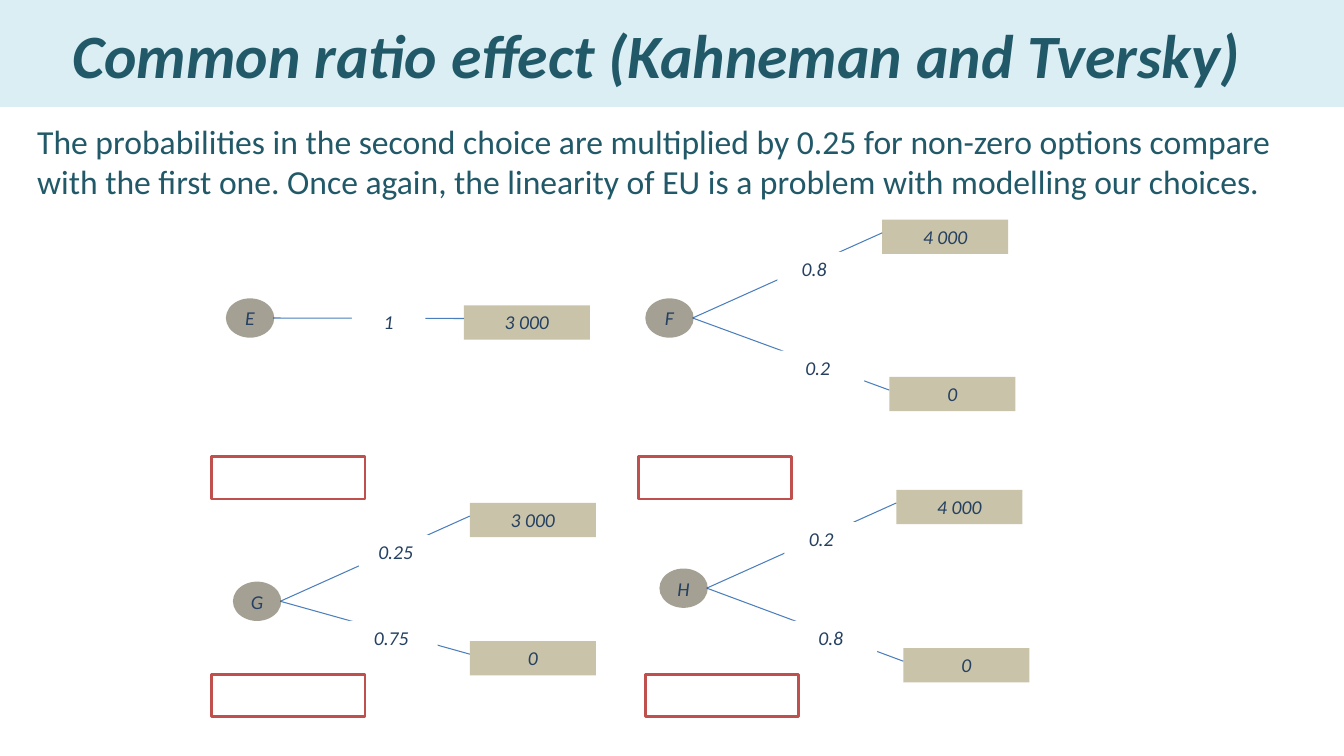
from dataclasses import dataclass

import pptx
import pptx.dml.color
import pptx.enum.shapes
import pptx.enum.text
import pptx.oxml.ns
import pptx.oxml.xmlchemy
import pptx.util
from pptx.util import Inches

RGBColor = pptx.dml.color.RGBColor
WHITE = RGBColor(0xFF, 0xFF, 0xFF)
BAND = RGBColor(0xDB, 0xEE, 0xF4)
TEAL = RGBColor(0x21, 0x59, 0x68)
NAVY = RGBColor(0x25, 0x40, 0x61)
NODE_FILL = RGBColor(0x4A, 0x45, 0x2A)
PAYOFF_FILL = RGBColor(0x94, 0x8A, 0x54)
BRANCH_BLUE = RGBColor(0x4B, 0x7E, 0xBC)
FRAME_RED = RGBColor(0xC0, 0x50, 0x4D)

SHAPE = pptx.enum.shapes.MSO_SHAPE
ANCHOR = pptx.enum.text.MSO_ANCHOR
ALIGN = pptx.enum.text.PP_ALIGN

FONT = "Calibri"
NODE_WIDTH, NODE_HEIGHT = 0.48, 0.39
PAYOFF_WIDTH, LABEL_HEIGHT = 1.25, 0.34
FRAME_WIDTH, FRAME_HEIGHT = 1.52, 0.42
UPPER_WIDTH, LOWER_WIDTH = 0.73, 0.92  # probability labels


@dataclass
class Branch:
    probability: str
    label_left: float
    label_top: float
    label_width: float
    payoff: str
    payoff_left: float
    payoff_top: float


@dataclass
class Lottery:
    name: str
    left: float
    top: float
    branches: list[Branch]


LOTTERIES = [
    Lottery("E", 2.24, 2.96, [
        Branch("1", 3.49, 3.03, UPPER_WIDTH, "3 000", 4.6, 3.03)]),
    Lottery("F", 6.4, 2.96, [
        Branch("0.8", 7.71, 2.5, UPPER_WIDTH, "4 000", 8.75, 2.18),
        Branch("0.2", 7.65, 3.48, LOWER_WIDTH, "0", 8.82, 3.74)]),
    Lottery("G", 2.31, 5.77, [
        Branch("0.25", 3.56, 5.31, UPPER_WIDTH, "3 000", 4.66, 4.99),
        Branch("0.75", 3.42, 6.16, LOWER_WIDTH, "0", 4.66, 6.36)]),
    Lottery("H", 6.54, 5.64, [
        Branch("0.2", 7.78, 5.18, UPPER_WIDTH, "4 000", 8.89, 4.86),
        Branch("0.8", 7.78, 6.16, LOWER_WIDTH, "0", 8.96, 6.43)]),
]
ANSWER_FRAMES = [(2.1, 4.53), (6.33, 4.53), (2.1, 6.69), (6.4, 6.69)]


def add_block(slide, kind, left: float, top: float, width: float, height: float,
              fill: RGBColor, translucent: bool = False):
    """Add a filled shape with neither outline nor shadow."""
    shape = slide.shapes.add_shape(
        kind, Inches(left), Inches(top), Inches(width), Inches(height))
    shape.shadow.inherit = False
    shape.fill.solid()
    shape.fill.fore_color.rgb = fill
    shape.line.fill.background()
    if translucent:
        color = shape._element.spPr.find(".//" + pptx.oxml.ns.qn("a:srgbClr"))
        alpha = pptx.oxml.xmlchemy.OxmlElement("a:alpha")
        alpha.set("val", "50000")
        color.append(alpha)
    return shape


def write(shape, text: str, size: int, color: RGBColor, alignment,
          anchor=ANCHOR.TOP, bold: bool = False, italic: bool = False) -> None:
    frame = shape.text_frame
    frame.text = text
    frame.word_wrap = True
    frame.vertical_anchor = anchor
    paragraph = frame.paragraphs[0]
    paragraph.alignment = alignment
    font = paragraph.runs[0].font
    font.name, font.size = FONT, pptx.util.Pt(size)
    font.bold, font.italic = bold, italic
    font.color.rgb = color


def write_label(shape, text: str, anchor=ANCHOR.TOP) -> None:
    write(shape, text, 14, NAVY, ALIGN.CENTER, anchor, italic=True)


def draw_line(slide, lottery: Lottery, branch: Branch) -> None:
    line = slide.shapes.add_connector(
        pptx.enum.shapes.MSO_CONNECTOR.STRAIGHT,
        Inches(lottery.left + NODE_WIDTH - 0.01),
        Inches(lottery.top + NODE_HEIGHT / 2),
        Inches(branch.payoff_left), Inches(branch.payoff_top + 0.13))
    line.line.color.rgb = BRANCH_BLUE
    line.line.width = pptx.util.Pt(0.75)
    line._element.spPr.append(pptx.oxml.xmlchemy.OxmlElement("a:effectLst"))


def draw_lottery(slide, lottery: Lottery) -> None:
    for branch in lottery.branches:
        draw_line(slide, lottery, branch)
    node = add_block(slide, SHAPE.OVAL, lottery.left, lottery.top,
                     NODE_WIDTH, NODE_HEIGHT, NODE_FILL, translucent=True)
    write_label(node, lottery.name, ANCHOR.MIDDLE)
    frame = node.text_frame
    frame.margin_left = frame.margin_right = 0
    frame.margin_top = frame.margin_bottom = 0
    for branch in lottery.branches:
        payoff = add_block(slide, SHAPE.RECTANGLE, branch.payoff_left, branch.payoff_top,
                           PAYOFF_WIDTH, LABEL_HEIGHT, PAYOFF_FILL, translucent=True)
        write_label(payoff, branch.payoff)
        probability = add_block(slide, SHAPE.RECTANGLE, branch.label_left, branch.label_top,
                                branch.label_width, LABEL_HEIGHT, WHITE)
        write_label(probability, branch.probability)


def main() -> None:
    presentation = pptx.Presentation()
    presentation.slide_width = Inches(13.33)
    presentation.slide_height = Inches(7.5)
    slide = presentation.slides.add_slide(presentation.slide_layouts[6])

    # Decision trees
    for lottery in LOTTERIES:
        draw_lottery(slide, lottery)

    # Empty answer frames
    for left, top in ANSWER_FRAMES:
        frame = add_block(slide, SHAPE.RECTANGLE, left, top,
                          FRAME_WIDTH, FRAME_HEIGHT, WHITE)
        frame.line.color.rgb = FRAME_RED
        frame.line.width = pptx.util.Pt(2)

    # Title band
    title = add_block(slide, SHAPE.RECTANGLE, 0, 0, 13.33, 1.06, BAND)
    write(title, "Common ratio effect (Kahneman and Tversky)", 44, TEAL,
          ALIGN.CENTER, ANCHOR.MIDDLE, bold=True, italic=True)
    title.text_frame.margin_right = Inches(0.4)

    # Explanation
    explanation = slide.shapes.add_textbox(
        Inches(0.27), Inches(1.15), Inches(12.79), Inches(0.91))
    write(explanation,
          "The probabilities in the second choice are multiplied by 0.25 for "
          "non-zero options compare with the first one. Once again, the linearity "
          "of EU is a problem with modelling our choices.",
          24, TEAL, ALIGN.LEFT)

    presentation.save("out.pptx")


if __name__ == "__main__":
    main()
